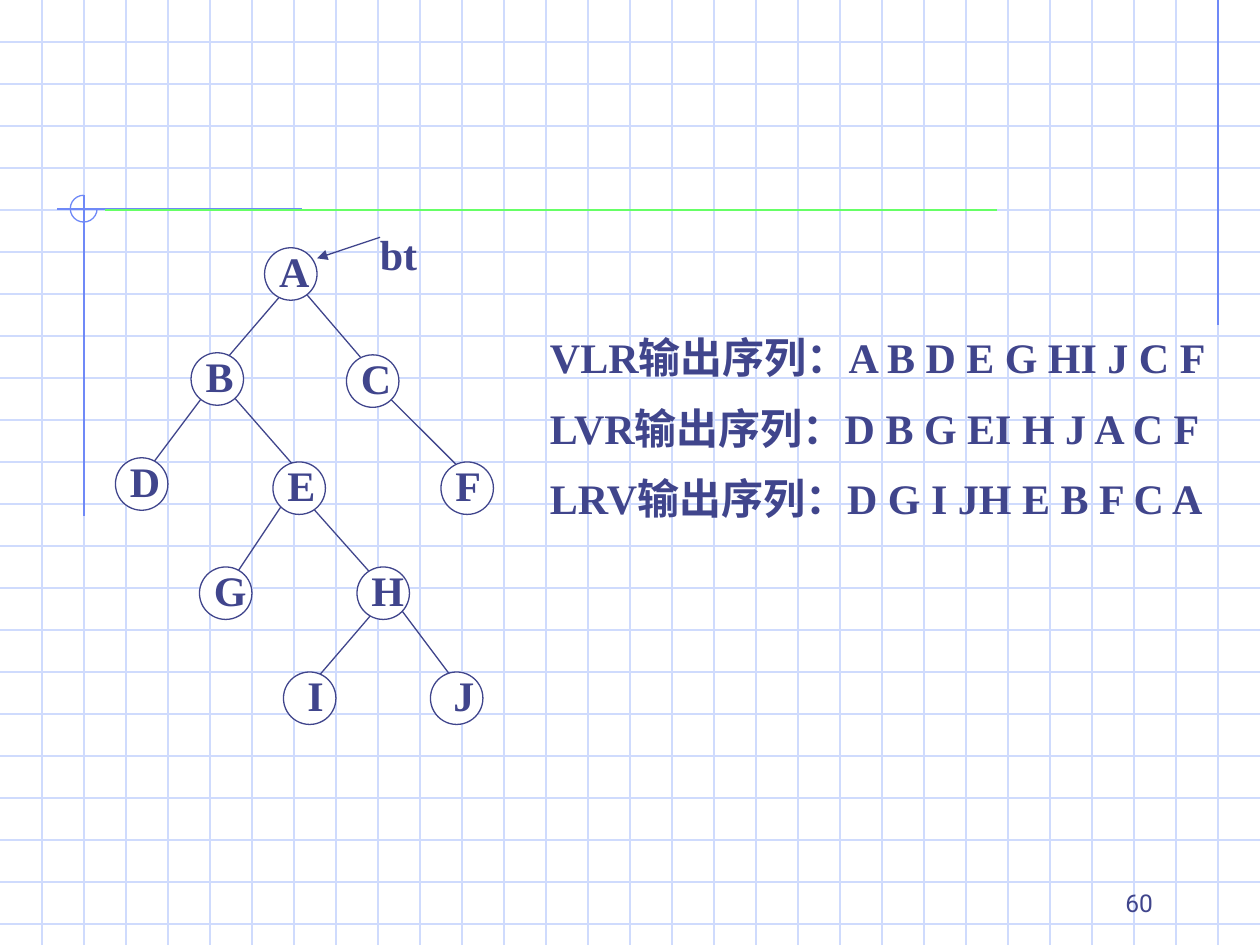
from dataclasses import dataclass
from typing import NamedTuple

from lxml.etree import SubElement
from pptx import Presentation
from pptx.dml.color import RGBColor
from pptx.enum.shapes import MSO_CONNECTOR, MSO_SHAPE
from pptx.enum.text import MSO_ANCHOR, MSO_AUTO_SIZE, PP_ALIGN
from pptx.oxml.ns import qn
from pptx.util import Inches, Pt

# Layout grid: 120 columns by 90 rows, twelve to the inch
COLS, ROWS = 120, 90
RULING = 4  # grid units between the ruled lines
NODE_SIZE = 5


@dataclass(frozen=True)
class Theme:
    ink: str = "40458C"
    paper: str = "FFFFFF"
    ruling: str = "CFDBFD"
    accent: str = "6F89F7"
    rule: str = "66FF66"
    serif: str = "Times New Roman"
    sans: str = "Roboto"
    text_size: float = 24
    number_size: float = 14
    thin: float = 0.75
    thick: float = 1.5


class Node(NamedTuple):
    name: str
    col: float
    row: float
    label_width: float
    label_shift: float = 0.2


class Edge(NamedTuple):
    x1: float
    y1: float
    x2: float
    y2: float


THEME = Theme()

NODES = [
    Node("A", 25.2, 23.6, 5.3),
    Node("B", 18.2, 33.6, 5),
    Node("C", 33, 33.8, 5.3),
    Node("D", 11, 43.6, 5.3),
    Node("E", 26, 44, 5),
    Node("F", 42, 44, 4.8),
    Node("G", 19, 54, 5.5),
    Node("H", 34, 54, 5.5),
    Node("I", 27, 64, 4, 1.1),
    Node("J", 41, 64, 4.3, 1),
]

EDGES = [
    Edge(27.2, 27.6, 21.2, 34.6),  # A-B
    Edge(29, 27.8, 35, 34.8),      # A-C
    Edge(20.2, 36.6, 14.2, 44.6),  # B-D
    Edge(21.2, 36.6, 28.2, 44.6),  # B-E
    Edge(37, 37.8, 44, 44.8),      # C-F
    Edge(27.2, 47.6, 21.2, 56.6),  # E-G
    Edge(28.2, 46.6, 36.2, 55.6),  # E-H
    Edge(36, 57.8, 30, 64.8),      # H-I
    Edge(38, 57.8, 44, 65.8),      # H-J
]
POINTER = Edge(36.2, 22.6, 30.2, 24.6)

SEQUENCES = [
    "VLR输出序列：A B D E G HI J C F",
    "LVR输出序列：D B G EI H J A C F",
    "LRV输出序列：D G I JH E B F C A",
]


def unit(n: float) -> int:
    return Inches(n / 12)


def rgb(color: str) -> RGBColor:
    return RGBColor.from_string(color)


def add_line(s, edge: Edge, color: str, width: float = THEME.thin, arrow: bool = False) -> None:
    line = s.shapes.add_connector(MSO_CONNECTOR.STRAIGHT, *map(unit, edge))
    line.line.color.rgb = rgb(color)
    line.line.width = Pt(width)
    props = line._element.spPr
    if arrow:
        SubElement(props.find(qn("a:ln")), qn("a:tailEnd"), type="triangle")
    SubElement(props, qn("a:effectLst"))


def add_outline(s, kind, x: float, y: float, size: float, color: str, fill: str | None = None):
    sp = s.shapes.add_shape(kind, unit(x), unit(y), unit(size), unit(size))
    sp.shadow.inherit = False
    sp.line.color.rgb = rgb(color)
    sp.line.width = Pt(THEME.thin)
    if fill:
        sp.fill.solid()
        sp.fill.fore_color.rgb = rgb(fill)
    else:
        sp.fill.background()
    return sp


def add_text(s, text: str, x: float, y: float, w: float, h: float = 6, *,
             font: str = THEME.serif, size: float = THEME.text_size, bold: bool = True,
             align=PP_ALIGN.LEFT, anchor=MSO_ANCHOR.TOP,
             spacing: float = 1, wrap: bool = False) -> None:
    tf = s.shapes.add_textbox(unit(x), unit(y), unit(w), unit(h)).text_frame
    tf.word_wrap = wrap
    tf.auto_size = MSO_AUTO_SIZE.NONE if wrap else MSO_AUTO_SIZE.SHAPE_TO_FIT_TEXT
    tf.vertical_anchor = anchor
    tf.text = text
    for p in tf.paragraphs:
        p.alignment = align
        p.line_spacing = spacing
        for r in p.runs:
            r.font.name = font
            r.font.size = Pt(size)
            r.font.bold = bold
            r.font.color.rgb = rgb(THEME.ink)


def draw_background(s) -> None:
    s.background.fill.solid()
    s.background.fill.fore_color.rgb = rgb(THEME.paper)
    # Ruled paper
    for row in range(RULING, ROWS, RULING):
        add_line(s, Edge(0, row, COLS, row), THEME.ruling)
    for col in range(RULING, COLS, RULING):
        add_line(s, Edge(col, 0, col, ROWS), THEME.ruling)
    # Margin lines and the open ring where they cross
    for edge in (Edge(116, 0, 116, 31), Edge(28.8, 19.9, 5.4, 19.9), Edge(8, 18.6, 8, 49.1)):
        add_line(s, edge, THEME.accent)
    ring = add_outline(s, MSO_SHAPE.ARC, 6.7, 18.6, 2.55, THEME.accent)
    ring.adjustments[0] = 0
    ring.adjustments[1] = 162  # 270 degrees


def draw_tree(s) -> None:
    add_text(s, "bt", 35, 21.2, 6.2)
    for edge in EDGES:
        add_line(s, edge, THEME.ink)
    add_line(s, POINTER, THEME.ink, arrow=True)
    for node in NODES:
        add_outline(s, MSO_SHAPE.OVAL, node.col, node.row, NODE_SIZE, THEME.ink, THEME.paper)
        add_text(s, node.name, node.col + node.label_shift, node.row - 0.8, node.label_width)


def main() -> None:
    prs = Presentation()
    prs.slide_width, prs.slide_height = unit(COLS), unit(ROWS)
    s = prs.slides.add_slide(prs.slide_layouts[6])
    draw_background(s)
    draw_tree(s)
    # Rule under the heading area
    add_line(s, Edge(10, 20, 95, 20), THEME.rule, THEME.thick)
    # Traversal results
    add_text(s, "\n".join(SEQUENCES), 51.2, 29.1, 67, 21.4, spacing=1.4)
    # Slide number
    add_text(s, "60", 86, 82, 25, font=THEME.sans, size=THEME.number_size, bold=False,
             align=PP_ALIGN.RIGHT, anchor=MSO_ANCHOR.BOTTOM, wrap=True)
    prs.save("out.pptx")


if __name__ == "__main__":
    main()
